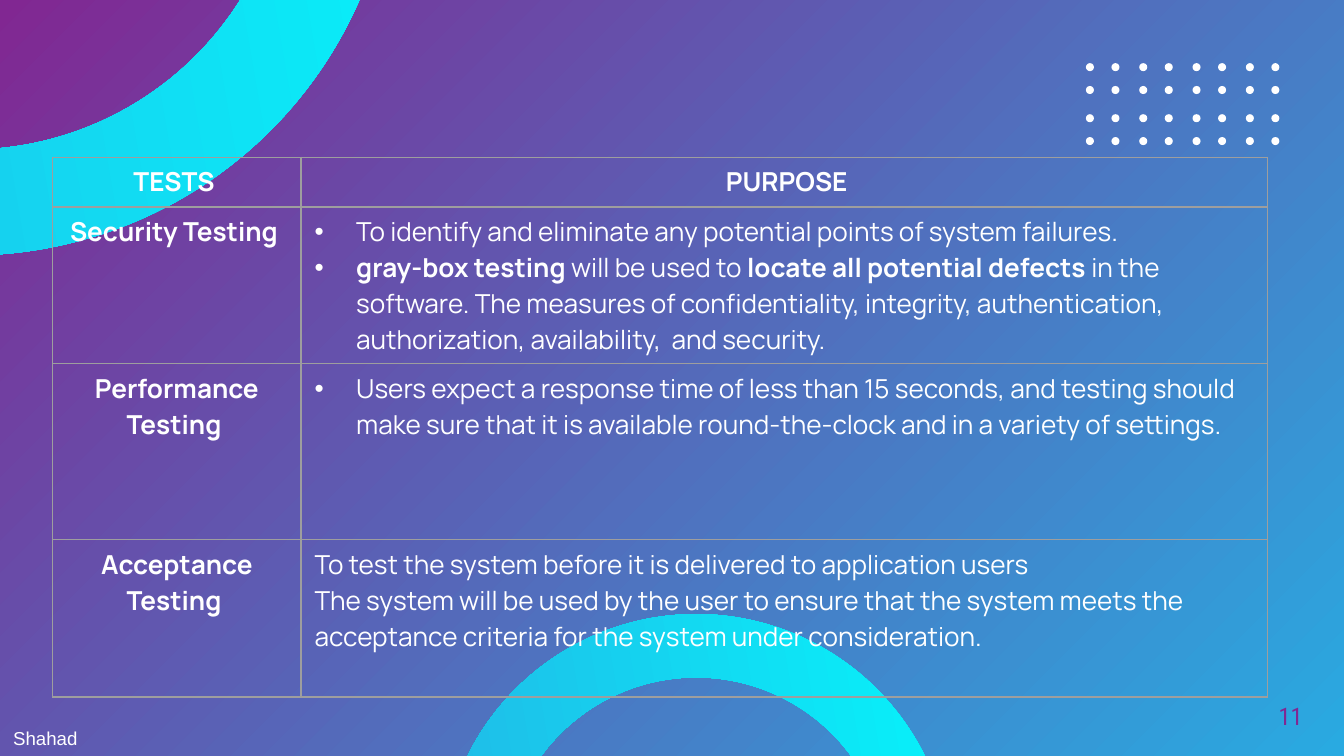
"""Build the slide that lists system tests and their purpose."""
from lxml import etree
from pptx import Presentation
from pptx.dml.color import RGBColor
from pptx.enum.shapes import MSO_SHAPE
from pptx.enum.text import MSO_ANCHOR, PP_ALIGN
from pptx.oxml import parse_xml
from pptx.oxml.ns import nsdecls, qn
from pptx.util import Inches, Pt

DONUT, DOT = MSO_SHAPE.DONUT, MSO_SHAPE.OVAL
CENTER, LEFT, RIGHT = PP_ALIGN.CENTER, PP_ALIGN.LEFT, PP_ALIGN.RIGHT
MIDDLE = MSO_ANCHOR.MIDDLE
color = RGBColor.from_string
WHITE, PURPLE, BLUE, CYAN, GRAY = "FFFFFF", "812792", "29AAE1", "00FFFF", "9E9E9E"


def paint_gradient(fill, start, end, angle):
    fill.gradient()
    fill.gradient_angle = angle
    for stop, shade in zip(fill.gradient_stops, (start, end)):
        stop.color.rgb = color(shade)


def add_span(para, text, font="Manrope", size=14, shade=WHITE, bold=False):
    span = para.add_run()
    span.text = text
    span.font.name, span.font.size, span.font.bold = font, Pt(size), bold
    span.font.color.rgb = color(shade)


deck = Presentation()
deck.slide_width, deck.slide_height = Inches(10), Inches(10 * 9 / 16)
page = deck.slides.add_slide(deck.slide_layouts[6])
paint_gradient(page.background.fill, PURPLE, BLUE, 315)

for left, top, size in ((-3.4, -4.44, 6.34), (3.28, 4.57, 3.8)):
    ring = page.shapes.add_shape(DONUT, Inches(left), Inches(top), Inches(size), Inches(size))
    ring.adjustments[0] = 0.124
    ring.rotation = 35.2
    ring.shadow.inherit = False
    ring.line.fill.background()
    paint_gradient(ring.fill, CYAN, BLUE, 225)

for row in range(4):
    for column in range(8):
        left = 8.08 + column // 2 * 1.19 / 3 + column % 2 * 0.19
        top = 0.47 + row // 2 * 0.38 + row % 2 * 0.17
        dot = page.shapes.add_shape(DOT, Inches(left), Inches(top), Inches(0.06), Inches(0.06))
        dot.shadow.inherit = False
        dot.line.fill.background()
        dot.fill.solid()
        dot.fill.fore_color.rgb = color(WHITE)

header = ("TESTS ", " PURPOSE")
tests = (
    ("Security Testing ", True, (
        (("To identify and eliminate any potential points of system failures.", False),),
        (("gray-box testing ", True), ("will be used to ", False),
         ("locate all potential defects ", True),
         ("in the software. The measures of confidentiality, integrity, authentication, "
          "authorization, availability,  and security.", False)))),
    ("Performance Testing ", True, (
        (("Users expect a response time of less than 15 seconds, and testing should make sure "
          "that it is available round-the-clock and in a variety of settings.", False),),)),
    ("Acceptance Testing ", False, (
        (("To test the system before it is delivered to application users", False),),
        (("The system will be used by the user to ensure that the system meets the acceptance "
          "criteria for the system under consideration.", False),))),
)

widths, heights = (1.85, 7.19), (0.37, 1.15, 1.31, 1.17)
table = page.shapes.add_table(len(heights), len(widths), Inches(0.39), Inches(1.17),
                              Inches(sum(widths)), Inches(sum(heights))).table
table.first_row = table.horz_banding = False
for column, width in zip(table.columns, widths):
    column.width = Inches(width)
for row, height in zip(table.rows, heights):
    row.height = Inches(height)

for cell in table.iter_cells():
    properties = cell._tc.get_or_add_tcPr()
    for side in ("lnL", "lnR", "lnT", "lnB"):
        properties.append(parse_xml(
            f'<a:{side} {nsdecls("a")} w="{Pt(0.75)}"><a:solidFill><a:srgbClr val="{GRAY}"/>'
            f'</a:solidFill></a:{side}>'))
    cell.fill.background()

titles = [(0, column, text) for column, text in enumerate(header)]
titles += [(row, 0, test[0]) for row, test in enumerate(tests, 1)]
for row, column, text in titles:
    para = table.cell(row, column).text_frame.paragraphs[0]
    para.alignment = CENTER
    add_span(para, text, bold=True)

for row, (name, bulleted, purposes) in enumerate(tests, 1):
    frame = table.cell(row, 1).text_frame
    for index, spans in enumerate(purposes):
        para = frame.add_paragraph() if index else frame.paragraphs[0]
        para.alignment = LEFT
        if bulleted:
            properties = para._p.get_or_add_pPr()
            properties.set("marL", str(Inches(0.31)))
            properties.set("indent", str(-Inches(0.31)))
            bullet_color = etree.SubElement(properties, qn("a:buClr"))
            etree.SubElement(bullet_color, qn("a:srgbClr"), val=WHITE)
            etree.SubElement(properties, qn("a:buFont"), typeface="Arial")
            etree.SubElement(properties, qn("a:buChar"), char="•")
        for text, bold in spans:
            add_span(para, text, bold=bold)

number_box = page.shapes.add_textbox(Inches(9.19), Inches(5.11), Inches(0.6), Inches(0.43))
number_box.text_frame.word_wrap = True
number_box.text_frame.vertical_anchor = MIDDLE
para = number_box.text_frame.paragraphs[0]
para.alignment = RIGHT
add_span(para, "11", font="Roboto Condensed", size=13, shade=PURPLE)

author_box = page.shapes.add_textbox(0, Inches(5.36), Inches(0.68), Inches(0.27))
author_box.text_frame.word_wrap = False
add_span(author_box.text_frame.paragraphs[0], "Shahad", font="Arial", size=10)

deck.save("out.pptx")
